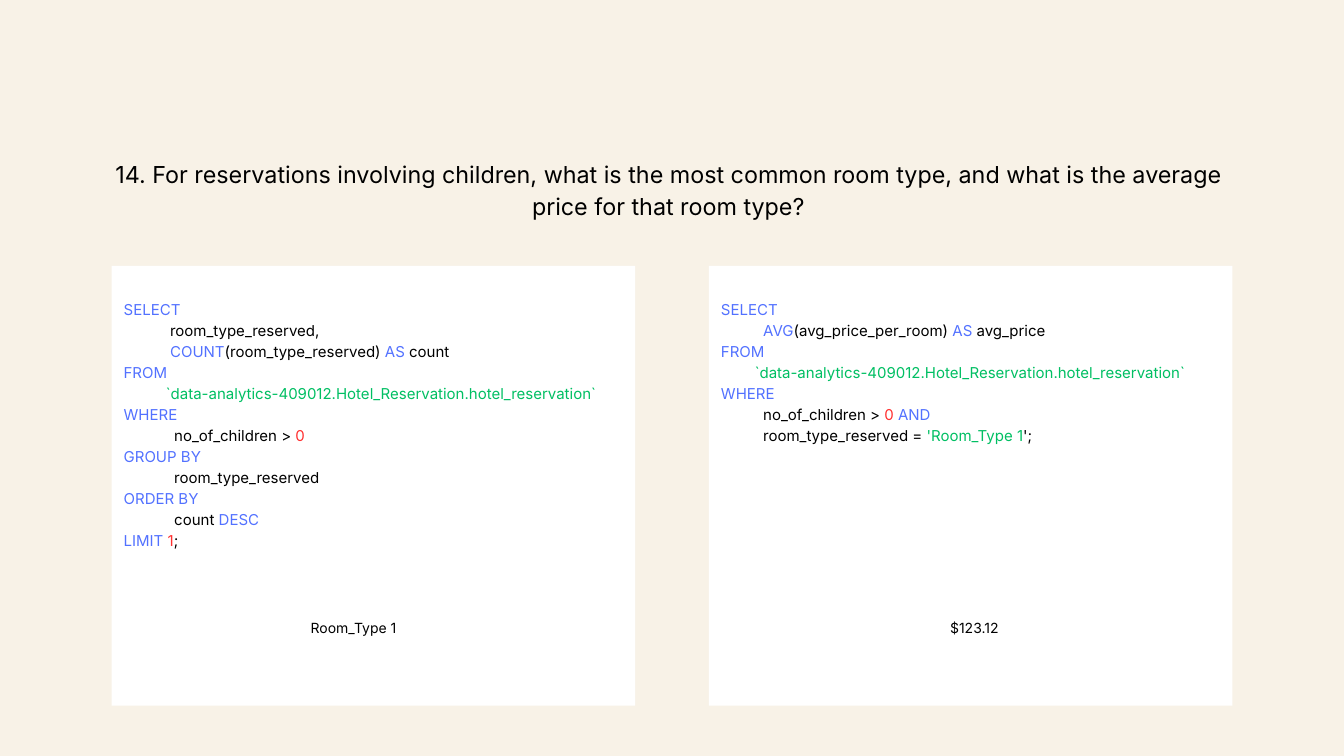
from pptx import Presentation
from pptx.dml.color import RGBColor
from pptx.enum.shapes import MSO_SHAPE
from pptx.enum.text import PP_ALIGN
from pptx.util import Pt


def tint(code):
    return RGBColor.from_string(code)


INK, KEY, NAME, NUM = "000000", "5271FF", "00BF63", "FF3131"
TABLE = (NAME, "`data-analytics-409012.Hotel_Reservation.hotel_reservation`")


class Deck:
    font = "Inter"
    head = {"size": 25, "lead": 35, "align": PP_ALIGN.CENTER}
    code = {"size": 16.1, "lead": 22.5, "align": PP_ALIGN.LEFT}
    note = {"size": 15, "lead": 21.1, "align": PP_ALIGN.CENTER}

    def __init__(self, show):
        self.slide = show.slides.add_slide(show.slide_layouts[6])

    def back(self, color):
        fill = self.slide.background.fill
        fill.solid()
        fill.fore_color.rgb = tint(color)

    def card(self, *box):
        shape = self.slide.shapes.add_shape(MSO_SHAPE.RECTANGLE, *map(Pt, box))
        shape.shadow.inherit = False
        shape.fill.solid()
        shape.fill.fore_color.rgb = tint("FFFFFF")
        shape.line.fill.background()

    def text(self, box, lines, style):
        """Each line is a list of (color, text) runs."""
        frame = self.slide.shapes.add_textbox(*map(Pt, box)).text_frame
        form = {"word_wrap": True, "margin_left": 0, "margin_right": 0,
                "margin_top": 0, "margin_bottom": 0}
        for key, value in form.items():
            setattr(frame, key, value)
        for i, line in enumerate(lines):
            para = frame.add_paragraph() if i else frame.paragraphs[0]
            form = {"alignment": style["align"], "line_spacing": Pt(style["lead"])}
            for key, value in form.items():
                setattr(para, key, value)
            for color, words in line:
                run = para.add_run()
                run.text = words
                form = {"name": self.font, "size": Pt(style["size"])}
                for key, value in form.items():
                    setattr(run.font, key, value)
                run.font.color.rgb = tint(color)


# Queries
ROOM = [
    [(KEY, "SELECT")],
    [(INK, "           room_type_reserved,")],
    [(INK, "           "), (KEY, "COUNT"), (INK, "(room_type_reserved) "),
     (KEY, "AS"), (INK, " count")],
    [(KEY, "FROM")],
    [(INK, "          "), TABLE],
    [(KEY, "WHERE")],
    [(INK, "            no_of_children > "), (NUM, "0")],
    [(KEY, "GROUP BY")],
    [(INK, "            room_type_reserved")],
    [(KEY, "ORDER BY")],
    [(INK, "            count "), (KEY, "DESC")],
    [(KEY, "LIMIT "), (NUM, "1"), (INK, ";")],
]
PRICE = [
    [(KEY, "SELECT")],
    [(INK, "          "), (KEY, "AVG"), (INK, "(avg_price_per_room) "),
     (KEY, "AS"), (INK, " avg_price")],
    [(KEY, "FROM")],
    [(INK, "        "), TABLE],
    [(KEY, "WHERE")],
    [(INK, "          no_of_children > "), (NUM, "0 "), (KEY, "AND")],
    [(INK, "          room_type_reserved = "), (NAME, "'Room_Type 1"), (INK, "';")],
]


def main():
    show = Presentation()
    show.slide_width, show.slide_height = Pt(1440), Pt(810)
    deck = Deck(show)
    deck.back("F8F2E7")

    # Question
    deck.text((119.5, 166.3, 1193, 67.7), [
        [(INK, "14. For reservations involving children, what is the most "
               "common room type, and what is the average")],
        [(INK, "price for that room type?")],
    ], deck.head)

    # Cards with query and result
    parts = [
        (119.5, 525, 401.8, ROOM, 257.8, "Room_Type 1"),
        (759.5, 505, 223.9, PRICE, 923, "$123.12"),
    ]
    for left, wide, high, query, spot, result in parts:
        deck.card(left, 285, 561, 471)
        deck.text((left + 13, 319, wide, high), query, deck.code)
        deck.text((spot, 660.2, 242, 20.2), [[(INK, result)]], deck.note)

    show.save("out.pptx")


if __name__ == "__main__":
    main()
